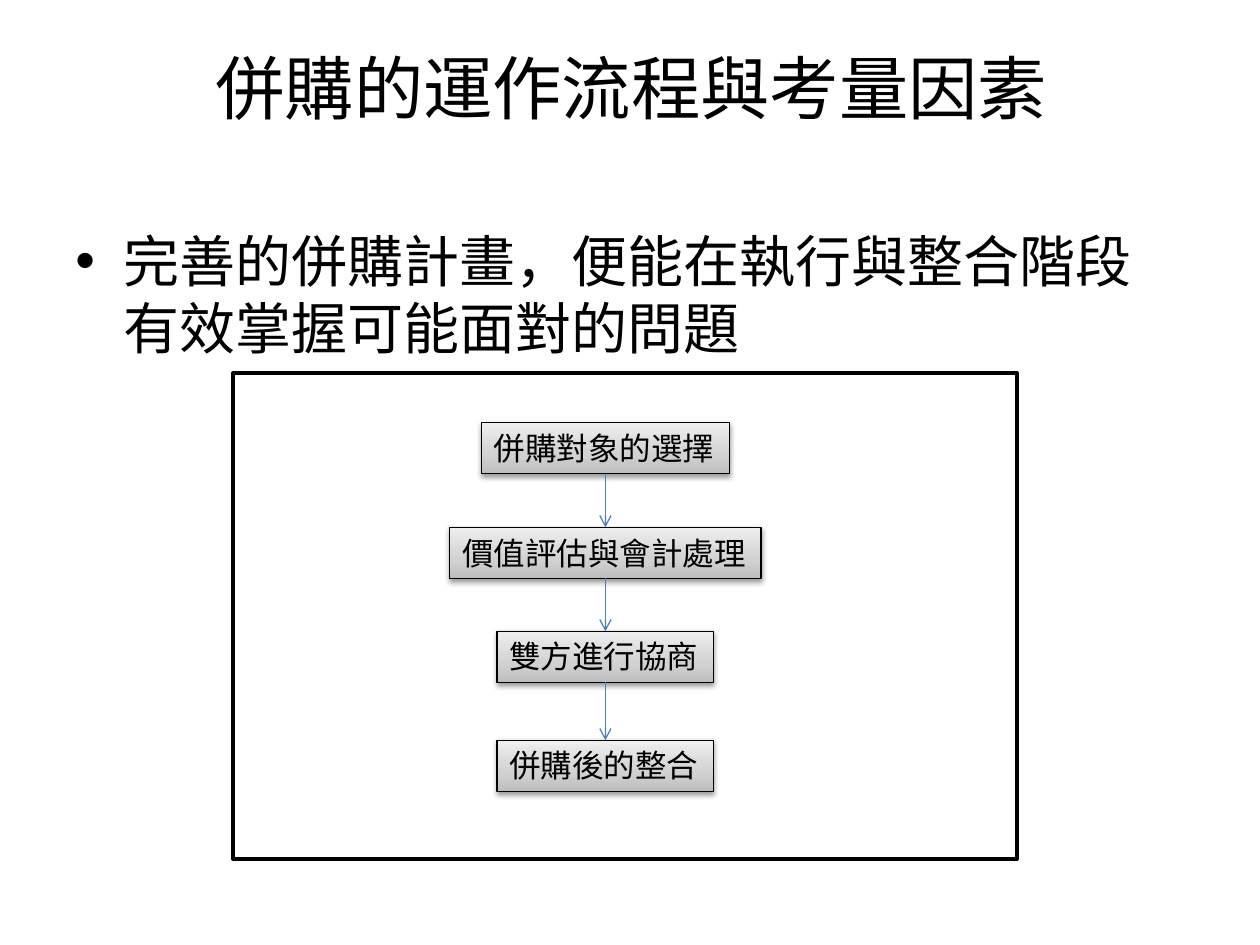
from itertools import pairwise

from lxml import etree
from pptx import Presentation
from pptx.dml.color import RGBColor
from pptx.enum.shapes import MSO_CONNECTOR as CONN, MSO_SHAPE as SHAPE
from pptx.enum.text import MSO_ANCHOR as ANCHOR, MSO_AUTO_SIZE as FIT, PP_ALIGN as ALIGN
from pptx.oxml import parse_xml
from pptx.oxml.ns import nsdecls, qn
from pptx.util import Inches, Pt

BLACK = RGBColor(0x00, 0x00, 0x00)
WHITE = RGBColor(0xFF, 0xFF, 0xFF)
BLUE = RGBColor(0x4B, 0x7E, 0xBC)
GREYS = [(0, RGBColor(0xBD, 0xBD, 0xBD)), (35, RGBColor(0xD1, 0xD1, 0xD1)),
         (100, RGBColor(0xEE, 0xEE, 0xEE))]

COLS, ROWS = 100, 75
AXIS = 48.05   # column on which the steps are centred
STEP_H = 4.05
STEPS = [("併購對象的選擇", 33.55), ("價值評估與會計處理", 41.85),
         ("雙方進行協商", 50.1), ("併購後的整合", 58.75)]


class FlowSlide:
    """Holds the text style and the slide; lengths are grid columns and rows."""
    font_name = "Calibri"

    def __init__(self, prs):
        self.cell_w, self.cell_h = prs.slide_width / COLS, prs.slide_height / ROWS
        self.s = prs.slides.add_slide(prs.slide_layouts[5])

    def box(self, x, y, w, h):
        return [int(x * self.cell_w), int(y * self.cell_h),
                int(w * self.cell_w), int(h * self.cell_h)]

    def add_text(self, sp, text, size, align=ALIGN.LEFT, **frame):
        tf = sp.text_frame
        for name, value in frame.items():
            setattr(tf, name, value)
        p = tf.paragraphs[0]
        p.alignment = align
        r = p.add_run()
        r.text = text
        for name, value in {"name": self.font_name, "size": Pt(size)}.items():
            setattr(r.font, name, value)
        r.font.color.rgb = BLACK
        return p

    def title(self, text, *place):
        sp = self.s.shapes.title
        sp.left, sp.top, sp.width, sp.height = self.box(*place)
        self.add_text(sp, text, 39.6, ALIGN.CENTER,
                      vertical_anchor=ANCHOR.TOP, margin_top=0)

    def bullet(self, text, *place):
        sp = self.s.shapes.add_textbox(*self.box(*place))
        pPr = self.add_text(sp, text, 32, word_wrap=True)._p.get_or_add_pPr()
        indent = Inches(0.38)
        pPr.set("marL", str(int(indent)))
        pPr.set("indent", str(-int(indent)))
        etree.SubElement(pPr, qn("a:buFont"), typeface="Arial")
        etree.SubElement(pPr, qn("a:buChar"), char="•")

    def rect(self, place, line_width):
        sp = self.s.shapes.add_shape(SHAPE.RECTANGLE, *self.box(*place))
        sp.shadow.inherit = False
        sp.fill.solid()
        sp.fill.fore_color.rgb = WHITE
        sp.line.color.rgb = BLACK
        sp.line.width = Pt(line_width)
        return sp

    def step(self, text, y):
        """Add a shaded step whose width follows the number of characters."""
        w = 2.5 * len(text) + 2.2
        sp = self.rect((AXIS - w / 2, y, w, STEP_H), 0.75)
        self.shade(sp._element.spPr)
        self.add_text(sp, text, 18, word_wrap=False,
                      auto_size=FIT.SHAPE_TO_FIT_TEXT, vertical_anchor=ANCHOR.TOP)
        return sp

    def shade(self, spPr):
        """Replace the solid fill by a gradient and add a soft shadow below."""
        stops = "".join(f'<a:gs pos="{pos * 1000}"><a:srgbClr val="{color}"/></a:gs>'
                        for pos, color in GREYS)
        spPr.replace(spPr.find(qn("a:solidFill")), parse_xml(
            f'<a:gradFill {nsdecls("a")} rotWithShape="1"><a:gsLst>{stops}</a:gsLst>'
            '<a:lin ang="16200000" scaled="0"/></a:gradFill>'))
        spPr.find(qn("a:effectLst")).append(parse_xml(
            f'<a:outerShdw {nsdecls("a")} blurRad="{int(Pt(3.1))}" '
            f'dist="{int(Pt(1.6))}" dir="5400000" rotWithShape="0">'
            f'<a:srgbClr val="{BLACK}"><a:alpha val="38000"/></a:srgbClr></a:outerShdw>'))

    def arrow(self, upper, lower):
        c = self.s.shapes.add_connector(CONN.STRAIGHT, 0, 0, 0, 0)
        c.begin_connect(upper, 2)
        c.end_connect(lower, 0)
        c.line.color.rgb = BLUE
        c.line.width = Pt(0.75)
        spPr = c._element.spPr
        etree.SubElement(spPr.find(qn("a:ln")), qn("a:tailEnd"), type="arrow")
        etree.SubElement(spPr, qn("a:effectLst"))


def main():
    prs = Presentation()
    prs.slide_width, prs.slide_height = Inches(10), Inches(7.5)
    flow = FlowSlide(prs)
    flow.rect((18.5, 29.6, 62.2, 38.6), 2)
    flow.title("併購的運作流程與考量因素", 5.1, 3.6, 90, 12.5)
    flow.bullet("完善的併購計畫，便能在執行與整合階段有效掌握可能面對的問題",
                5, 17.5, 90, 49.5)
    steps = [flow.step(text, y) for text, y in STEPS]
    for upper, lower in pairwise(steps):
        flow.arrow(upper, lower)
    prs.save("out.pptx")


if __name__ == "__main__":
    main()
